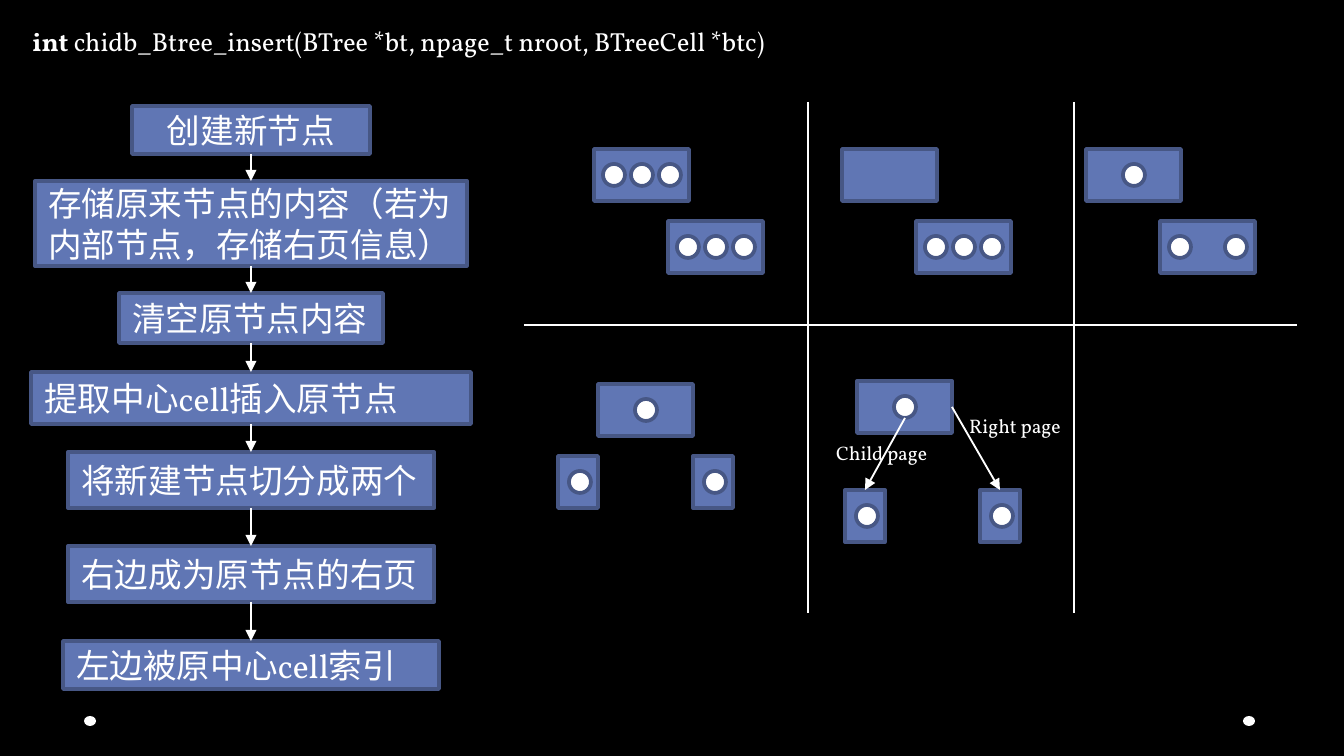
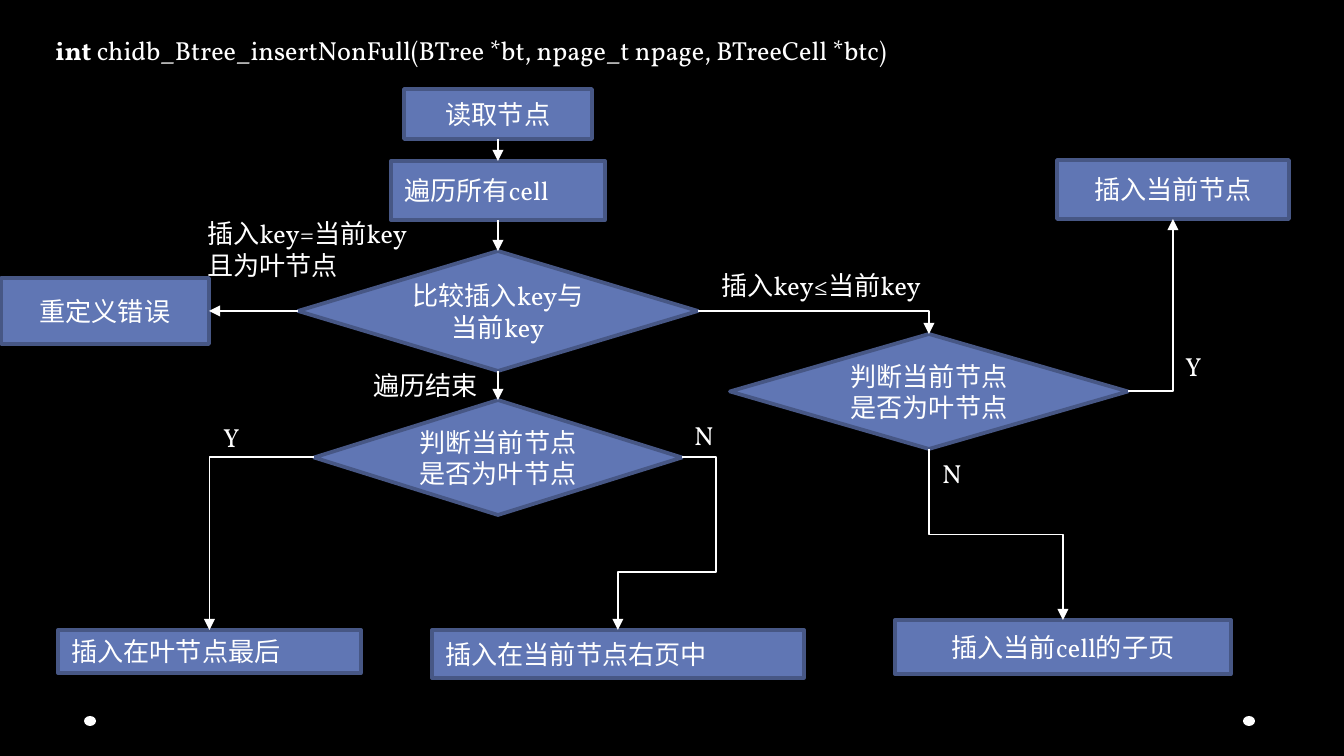
from lxml import etree
from pptx import Presentation
from pptx.dml.color import RGBColor
from pptx.enum.shapes import MSO_CONNECTOR as LINK, MSO_SHAPE as SHAPE
from pptx.enum.text import MSO_ANCHOR as ANCHOR, MSO_AUTO_SIZE as FIT, PP_ALIGN as ALIGN
from pptx.oxml.ns import qn
from pptx.util import Pt

PX = 914400 / 134.4  # EMU in one px
BLACK = RGBColor(0x00, 0x00, 0x00)
WHITE = RGBColor(0xFF, 0xFF, 0xFF)
BLUE = RGBColor(0x60, 0x76, 0xB4)
NAVY = RGBColor(0x47, 0x57, 0x85)
FONT = "Vollkorn"


def put(slide, kind, box, text="", size=14, align=ALIGN.LEFT, fill=BLUE, outline=NAVY, bold=""):
    """Place a title, a label or a preset shape, and write its text."""
    left, top, width, height = [round(v * PX) for v in box]
    if kind == "title":
        item = slide.shapes.title
        item.left, item.top, item.width, item.height = left, top, width, height
    elif kind == "label":
        item = slide.shapes.add_textbox(left, top, width, height)
    else:
        item = slide.shapes.add_shape(kind, left, top, width, height)
        item.shadow.inherit = False
        item.fill.solid()
        item.fill.fore_color.rgb = fill
        if outline is None:
            item.line.fill.background()
        else:
            item.line.color.rgb = outline
            item.line.width = Pt(2)
    if text:
        frame = item.text_frame
        frame.word_wrap = True
        plain = kind in ("title", "label")
        frame.auto_size = FIT.SHAPE_TO_FIT_TEXT if plain else FIT.NONE
        frame.vertical_anchor = ANCHOR.TOP if plain else ANCHOR.MIDDLE
        for number, line in enumerate(text.split("\n")):
            paragraph = frame.add_paragraph() if number else frame.paragraphs[0]
            paragraph.alignment = align
            for part, heavy in ((bold, True), (line, False)):
                if part:
                    run = paragraph.add_run()
                    run.text = part
                    run.font.name, run.font.size = FONT, Pt(size)
                    run.font.bold = heavy
                    run.font.color.rgb = WHITE
    return item


def link(slide, begin, end, begin_at=None, end_at=None, preset=None, arrow=True):
    """Draw a line; begin_at and end_at are (shape, side) pairs to join."""
    kind = LINK.ELBOW if preset else LINK.STRAIGHT
    line = slide.shapes.add_connector(kind, *[round(v * PX) for v in (*begin, *end)])
    if begin_at:
        line.begin_connect(*begin_at)
    if end_at:
        line.end_connect(*end_at)
    line.line.color.rgb = WHITE
    line.line.width = Pt(1)
    properties = line.element.spPr
    if preset:
        properties.find(qn("a:prstGeom")).set("prst", preset)
    if arrow:
        etree.SubElement(properties.find(qn("a:ln")), qn("a:tailEnd"), type="triangle")
    etree.SubElement(properties, qn("a:effectLst"))
    return line


deck = Presentation()
deck.slide_width, deck.slide_height = round(1344 * PX), round(756 * PX)
title_only = deck.slide_layouts[5]
split = deck.slides.add_slide(title_only)
insert = deck.slides.add_slide(title_only)

# Shared background and corner dots on the master
master = deck.slide_master
master.background.fill.solid()
master.background.fill.fore_color.rgb = BLACK
for dot_id, left in ((101, 1243), (102, 84)):
    dot = put(split, SHAPE.OVAL, (left, 716, 12, 10), fill=WHITE, outline=None)
    dot.element.nvSpPr.cNvPr.id = dot_id
    master.element.cSld.spTree.append(dot.element)

# Slide 1: steps of the split
put(split, "title", (19, 19, 1306, 46),
    "chidb_Btree_insert(BTree *bt, npage_t nroot, BTreeCell *btc)", bold="int ")
STEPS = [
    (106, 238, 48, "创建新节点"),
    (181, 432, 85, "存储原来节点的内容（若为内部节点，存储右页信息）"),
    (293, 264, 50, "清空原节点内容"),
    (372, 440, 52, "提取中心cell插入原节点"),
    (452, 366, 56, "将新建节点切分成两个"),
    (546, 366, 56, "右边成为原节点的右页"),
    (641, 376, 48, "左边被原中心cell索引"),
]
previous = None
for top, width, height, text in STEPS:
    step = put(split, SHAPE.RECTANGLE, (251 - width // 2, top, width, height), text, size=18,
               align=ALIGN.LEFT if previous else ALIGN.CENTER)
    if previous:
        link(split, (251, top), (251, top), (previous, 2), (step, 0))
    previous = step

# Nodes with their cells: left, top, filled cell slots
pairs = [(594, (0, 1, 2), (0, 1, 2)), (842, (), (0, 1, 2)), (1086, (1,), (0, 2))]
nodes = [(598, 384, (1,)), (857, 381, (1,))]
for left, old_cells, new_cells in pairs:
    nodes += [(left, 149, old_cells), (left + 74, 221, new_cells)]
root = {}
for left, top, slots in nodes:
    root[left] = put(split, SHAPE.RECTANGLE, (left, top, 95, 52))
    for slot in slots:
        put(split, SHAPE.OVAL, (left + 9 + 28 * slot, top + 15, 22, 22), fill=WHITE)

# Halves of the split node
halves = {}
for left, top in ((558, 456), (693, 456), (845, 490), (980, 490)):
    halves[left] = put(split, SHAPE.RECTANGLE, (left, top, 40, 52))
    put(split, SHAPE.OVAL, (left + 11, top + 15, 22, 22), fill=WHITE)

# Page pointers
link(split, (952, 407), (1000, 490), (root[857], 3), (halves[980], 0))
put(split, "label", (956, 407, 130, 39), "Right page", size=10.5)
link(split, (905, 418), (865, 490), end_at=(halves[845], 0))
put(split, "label", (823, 434, 145, 39), "Child page", size=10.5)

# Grid between the stages
link(split, (524, 325), (1297, 325), arrow=False)
for x in (808, 1074):
    link(split, (x, 102), (x, 613), arrow=False)

# Slide 2: flowchart of the insertion
put(insert, "title", (42, 28, 973, 46),
    "chidb_Btree_insertNonFull(BTree *bt, npage_t npage, BTreeCell *btc)", bold="int ")
LABELS = [
    (194, 211, 335, "插入key=当前key\n且为叶节点"),
    (708, 263, 341, "插入key≤当前key"),
    (681, 413, 62, "N"),
    (929, 451, 62, "N"),
    (360, 363, 184, "遍历结束"),
    (210, 415, 106, "Y"),
    (1172, 344, 106, "Y"),
]
for left, top, width, text in LABELS:
    put(insert, "label", (left, top, width, 46 + 31 * text.count("\n")), text)

R, D = SHAPE.RECTANGLE, SHAPE.DIAMOND
leaf_question = "判断当前节点是否为叶节点"
FLOW = {
    "read": (R, (404, 89, 188, 50), "读取节点", ALIGN.CENTER),
    "walk": (R, (391, 161, 214, 59), "遍历所有cell", ALIGN.LEFT),
    "compare": (D, (298, 251, 400, 120), "比较插入key与当前key", ALIGN.CENTER),
    "error": (R, (1, 278, 208, 66), "重定义错误", ALIGN.CENTER),
    "end leaf": (D, (314, 400, 368, 115), leaf_question, ALIGN.CENTER),
    "here leaf": (D, (730, 334, 398, 115), leaf_question, ALIGN.CENTER),
    "here": (R, (1057, 160, 232, 59), "插入当前节点", ALIGN.CENTER),
    "last": (R, (58, 630, 303, 43), "插入在叶节点最后", ALIGN.LEFT),
    "right page": (R, (432, 630, 372, 48), "插入在当前节点右页中", ALIGN.LEFT),
    "child page": (R, (895, 620, 336, 54), "插入当前cell的子页", ALIGN.CENTER),
}
flow = {key: put(insert, kind, box, text, align=align)
        for key, (kind, box, text, align) in FLOW.items()}

# Arrows: from, side, to, side, preset of a bent one
ARROWS = [
    ("read", 2, "walk", 0, None),
    ("walk", 2, "compare", 0, None),
    ("compare", 1, "error", 3, None),
    ("compare", 2, "end leaf", 0, None),
    ("compare", 3, "here leaf", 0, "bentConnector2"),
    ("here leaf", 3, "here", 2, "bentConnector2"),
    ("end leaf", 1, "last", 0, "bentConnector2"),
    ("end leaf", 3, "right page", 0, "bentConnector4"),
    ("here leaf", 2, "child page", 0, "bentConnector3"),
]
for source, out_side, target, in_side, preset in ARROWS:
    arrow = link(insert, (0, 0), (0, 0), (flow[source], out_side), (flow[target], in_side), preset)
    if preset == "bentConnector4":
        guides = arrow.element.spPr.find(qn("a:prstGeom")).get_or_add_avLst()
        for name, value in (("adj1", -52800), ("adj2", 66600)):
            etree.SubElement(guides, qn("a:gd"), name=name, fmla=f"val {value}")
    elif preset == "bentConnector3":
        # Turned a quarter so that it leaves and arrives vertically
        width, height = arrow.width, arrow.height
        arrow.left += (width - height) // 2
        arrow.top += (height - width) // 2
        arrow.width, arrow.height = height, width
        turn = arrow.element.spPr.find(qn("a:xfrm"))
        turn.set("rot", "16200000")
        turn.set("flipH", "1")

deck.save("out.pptx")
